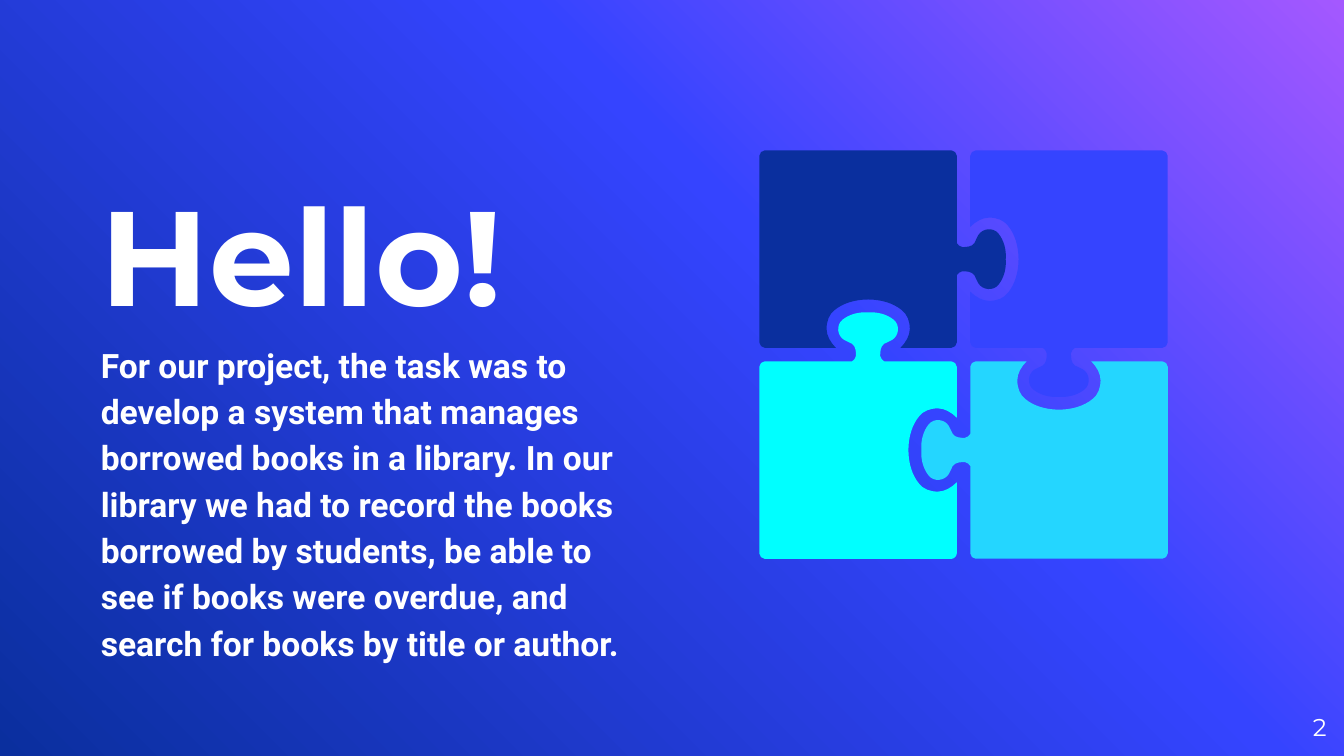
from copy import deepcopy

from lxml import etree
from pptx import Presentation
from pptx.dml.color import RGBColor
from pptx.enum.text import MSO_ANCHOR, MSO_AUTO_SIZE, PP_ALIGN
from pptx.oxml.ns import qn
from pptx.util import Pt

TITLE = "Hello!"
BODY = ("For our project, the task was to develop a system that manages "
        "borrowed books in a library. In our library we had to record the "
        "books borrowed by students, be able to see if books were overdue, "
        "and search for books by title or author.")
PAGE = "2"
WHITE = "FFFFFF"
GRADIENT = [(0, "A458FF"), (0.39, "3544FF"), (1, "0A2F9E")]

# Puzzle pieces: colour and number of clockwise quarter turns
PIECES = [("0A2F9E", 0), ("3544FF", 1), ("00FFFF", 3), ("24D6FF", 2)]
CENTRE = (516.2, 190)

# Top-left piece, in points from the puzzle's centre
NEAR, FAR, RADIUS, MIDDLE = -3.6, -109.4, 2.9, -51.1
# Bezier points of half a socket and half a tab; MIDDLE is their mirror axis
HALF_SOCKET = [(-68.4, -3.6), (-71.3, -6.5), (-73.4, -10.1), (-73.4, -13.7),
               (-73.4, -18), (-72, -21.6), (-69.1, -23.8),
               (-64.8, -27.4), (-58.3, -29.5), (MIDDLE, -29.5)]
HALF_TAB = [(-3.6, -42.5), (-2.9, -43.2), (-2.2, -44.6), (-0.7, -44.6),
            (1.4, -44.6), (4.3, -44.6), (5.8, -42.5),
            (6.5, -41), (7.2, -39.6), (7.9, -38.2),
            (10.1, -34.6), (15.8, -33.8), (18.7, -37.4),
            (21.6, -41), (23, -46.1), (22.6, MIDDLE)]


def rgb(hex_color):
    return RGBColor.from_string(hex_color)


def corner(x, y, start, end):
    """Round the corner at x, y; start and end are directions away from it."""
    return [(x + RADIUS * k * dx, y + RADIUS * k * dy)
            for k, (dx, dy) in ((1, start), (0.5, start), (0.5, end), (1, end))]


def piece_chains():
    """Return the chains of Bezier points that straight lines join."""
    left, right, up, down = (-1, 0), (1, 0), (0, -1), (0, 1)
    socket = HALF_SOCKET + [(2 * MIDDLE - x, y) for x, y in HALF_SOCKET[-2::-1]]
    tab = HALF_TAB + [(x, 2 * MIDDLE - y) for x, y in HALF_TAB[-2::-1]]
    return [socket, corner(NEAR, NEAR, left, up),
            tab, corner(NEAR, FAR, down, left),
            corner(FAR, FAR, right, down), corner(FAR, NEAR, up, right)]


def curve_segments(sp, chains):
    """Merge each three line segments within a chain into one cubic curve."""
    nodes = list(sp.element.find(".//" + qn("a:path")))
    first = 0
    for chain in chains:
        for i in range(first + 1, first + len(chain), 3):
            curve = etree.Element(qn("a:cubicBezTo"))
            nodes[i].addprevious(curve)
            for node in nodes[i:i + 3]:
                curve.append(node[0])
                node.getparent().remove(node)
        first += len(chain)


def add_puzzle(s):
    group = s.shapes.add_group_shape()
    chains = piece_chains()
    for color, turns in PIECES:
        points = [p for chain in chains for p in chain]
        for _ in range(turns):
            points = [(-y, x) for x, y in points]
        points = [(Pt(CENTRE[0] + x), Pt(CENTRE[1] + y)) for x, y in points]
        builder = group.shapes.build_freeform(*points[0], scale=1.0)
        builder.add_line_segments(points[1:], close=True)
        sp = builder.convert_to_shape()
        curve_segments(sp, chains)
        sp.shadow.inherit = False
        sp.fill.solid()
        sp.fill.fore_color.rgb = rgb(color)
        sp.line.fill.background()


def set_text(sp, text, box, font, size, bold=False, align=PP_ALIGN.LEFT,
             anchor=MSO_ANCHOR.TOP):
    sp.left, sp.top, sp.width, sp.height = map(Pt, box)
    tf = sp.text_frame
    tf.text = text
    tf.word_wrap = True
    tf.auto_size = MSO_AUTO_SIZE.NONE
    tf.vertical_anchor = anchor
    tf.margin_left = tf.margin_right = tf.margin_top = tf.margin_bottom = 0
    p = tf.paragraphs[0]
    p.alignment = align
    f = p.runs[0].font
    f.name, f.size, f.bold = font, Pt(size), bold
    f.color.rgb = rgb(WHITE)
    return p


def set_background(s):
    fill = s.background.fill
    fill.gradient()
    fill.gradient_angle = 225
    stops = s.element.find(".//" + qn("a:gsLst"))
    stops.append(deepcopy(stops[0]))
    for stop, (position, color) in zip(fill.gradient_stops, GRADIENT):
        stop.position = position
        stop.color.rgb = rgb(color)


prs = Presentation()
prs.slide_width, prs.slide_height = Pt(720), Pt(405)
s = prs.slides.add_slide(prs.slide_layouts[0])
set_background(s)

p = set_text(s.shapes.title, TITLE, (54, 105.2, 285, 73.5), "Montserrat", 72,
             bold=True, anchor=MSO_ANCHOR.BOTTOM)
p.space_before = Pt(0)
p = set_text(s.placeholders[1], BODY, (54, 181.3, 285, 118), "Roboto", 18, bold=True)
p.line_spacing = 1.15
p.space_before = Pt(6)
set_text(s.shapes.add_textbox(0, 0, 0, 0), PAGE, (667.5, 374, 43.2, 31),
         "Montserrat", 13, align=PP_ALIGN.RIGHT, anchor=MSO_ANCHOR.MIDDLE)
add_puzzle(s)

prs.save("out.pptx")
